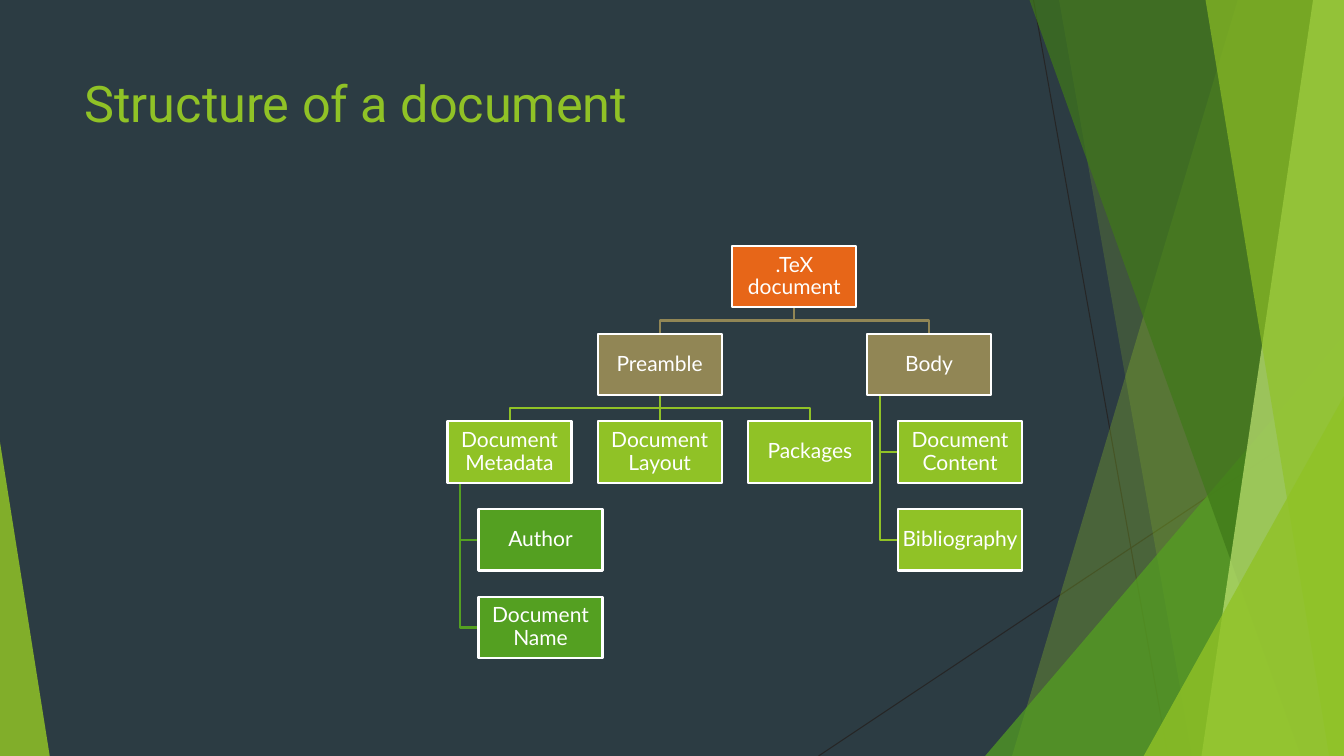
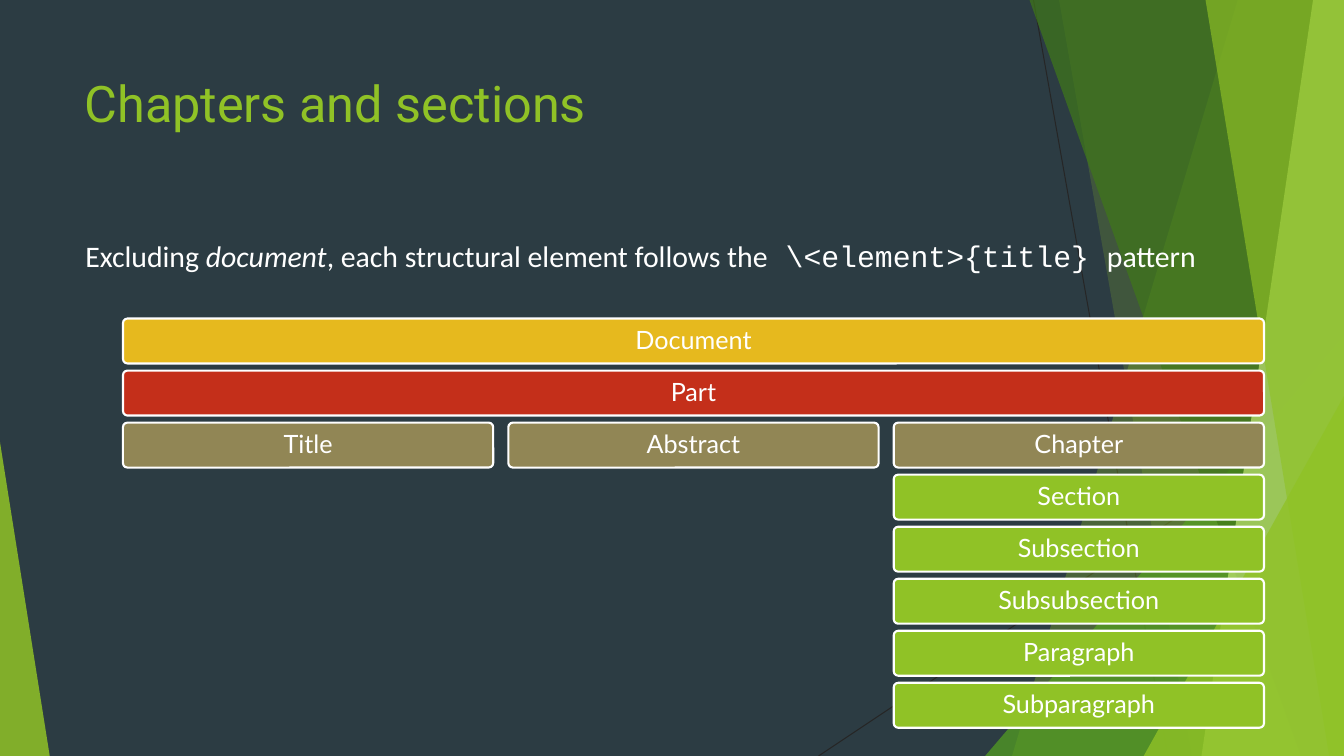
"""Build two slides on how a TeX document is structured."""
from pptx import Presentation
from pptx.dml.color import RGBColor
from pptx.enum.shapes import MSO_CONNECTOR, MSO_SHAPE
from pptx.enum.text import MSO_ANCHOR, PP_ALIGN
from pptx.oxml.ns import qn
from pptx.util import Inches, Pt
from lxml.etree import SubElement

SLIDE_W, SLIDE_H = Inches(13.333), Inches(7.5)
NIGHT = RGBColor(0x2C, 0x3C, 0x43)
INK = RGBColor(0x26, 0x26, 0x26)
WHITE = RGBColor(0xFF, 0xFF, 0xFF)
LIME = RGBColor(0x90, 0xC2, 0x26)
PALE_LIME = RGBColor(0xC0, 0xE4, 0x74)
GREEN = RGBColor(0x54, 0xA0, 0x21)
FOREST = RGBColor(0x3F, 0x78, 0x19)
ORANGE = RGBColor(0xE7, 0x66, 0x18)
KHAKI = RGBColor(0x91, 0x86, 0x55)
GOLD = RGBColor(0xE6, 0xB9, 0x1E)
RED = RGBColor(0xC4, 0x2F, 0x1A)

NODE_W, NODE_H = Inches(1.23), Inches(0.61)
TREE_LEFT, TREE_TOP = Inches(4.44), Inches(2.44)
TREE_COL, TREE_ROW = Inches(1.49), Inches(0.87)
HANG = NODE_W / TREE_COL / 4

BARS_LEFT, BARS_TOP = Inches(1.22), Inches(3.16)
BAR_GAP_X, BAR_GAP_Y = Inches(0.15), Inches(0.07)
BAR_COL = (Inches(11.32) + BAR_GAP_X) / 3
BAR_ROW = (Inches(4.06) + BAR_GAP_Y) / 8

BODY_COL = 3 - HANG
NODES = {
    ".TeX document": ((1 + BODY_COL) / 2, 0, ORANGE),
    "Preamble": (1, 1, KHAKI),
    "Body": (BODY_COL, 1, KHAKI),
    "Document Metadata": (0, 2, LIME),
    "Document Layout": (1, 2, LIME),
    "Packages": (2, 2, LIME),
    "Document Content": (3, 2, LIME),
    "Bibliography": (3, 3, LIME),
    "Author": (HANG, 3, GREEN),
    "Document Name": (HANG, 4, GREEN),
}
BRANCHES = {
    ".TeX document": ["Preamble", "Body"],
    "Preamble": ["Document Metadata", "Document Layout", "Packages"],
}
LISTS = {
    "Body": ["Document Content", "Bibliography"],
    "Document Metadata": ["Author", "Document Name"],
}
BARS = [
    ("Document", 0, 0, 3, GOLD),
    ("Part", 1, 0, 3, RED),
    ("Title", 2, 0, 1, KHAKI),
    ("Abstract", 2, 1, 1, KHAKI),
    ("Chapter", 2, 2, 1, KHAKI),
]
CHAPTER_PARTS = ["Section", "Subsection", "Subsubsection", "Paragraph", "Subparagraph"]


def across(percent):
    return round(SLIDE_W * percent / 100)


def down(percent):
    return round(SLIDE_H * percent / 100)


def add_line(slide, start, end, colour, weight):
    line = slide.shapes.add_connector(MSO_CONNECTOR.STRAIGHT, *start, *end)
    line.line.color.rgb = colour
    line.line.width = Pt(weight)
    SubElement(line._element.spPr, qn("a:effectLst"))


def add_outline(slide, points, close):
    builder = slide.shapes.build_freeform(*points[0])
    builder.add_line_segments(points[1:], close=close)
    outline = builder.convert_to_shape()
    outline.shadow.inherit = False
    return outline


def tint(panel, colour, opacity):
    panel.fill.solid()
    panel.fill.fore_color.rgb = colour
    panel.line.fill.background()
    shade = panel._element.spPr.find(qn("a:solidFill")).find(qn("a:srgbClr"))
    SubElement(shade, qn("a:alpha")).set("val", str(opacity * 1000))


def add_facet(slide, top_left, bottom_left, colour, opacity):
    corners = [(across(top_left), 0), (SLIDE_W, 0),
               (SLIDE_W, SLIDE_H), (across(bottom_left), SLIDE_H)]
    tint(add_outline(slide, corners, True), colour, opacity)


def add_wedge(slide, left, top, right, apex, colour, opacity):
    wedge = slide.shapes.add_shape(
        MSO_SHAPE.ISOSCELES_TRIANGLE, across(left), down(top),
        across(right - left), down(100 - top))
    wedge.adjustments[0] = apex
    wedge.shadow.inherit = False
    tint(wedge, colour, opacity)


def add_backdrop(slide):
    add_line(slide, (across(76.9), 0), (across(86.9), SLIDE_H), INK, 0.75)
    add_line(slide, (SLIDE_W, down(53.7)), (across(60.9), SLIDE_H), INK, 0.75)
    add_facet(slide, 92.1, 75.3, LIME, 30)
    add_facet(slide, 78.8, 88.7, LIME, 20)
    add_wedge(slide, 73.3, 44.4, 100, 1, GREEN, 72)
    add_facet(slide, 76.6, 96.8, FOREST, 70)
    add_facet(slide, 97.7, 89.4, PALE_LIME, 70)
    add_facet(slide, 89.7, 98.9, LIME, 65)
    add_wedge(slide, 85.1, 52.4, 100, 1, LIME, 80)
    add_wedge(slide, 0, 58.5, 3.7, 0, LIME, 85)


def style(paragraph, font, size, colour):
    paragraph.font.name = font
    paragraph.font.size = Pt(size)
    paragraph.font.color.rgb = colour


def add_text_frame(slide, left, top, width, height):
    frame = slide.shapes.add_textbox(left, top, width, height).text_frame
    frame.word_wrap = True
    return frame


def add_titled_slide(deck, title):
    slide = deck.slides.add_slide(deck.slide_layouts[6])
    add_backdrop(slide)
    heading = add_text_frame(slide, across(5.55), down(8.9), across(70.5), down(19.2)).paragraphs[0]
    heading.text = title
    style(heading, "Roboto", 36, LIME)
    return slide


def add_box(slide, preset, bounds, label, colour, size, inset):
    box = slide.shapes.add_shape(preset, *map(round, bounds))
    box.shadow.inherit = False
    box.fill.solid()
    box.fill.fore_color.rgb = colour
    box.line.color.rgb = WHITE
    box.line.width = Pt(1.5)
    frame = box.text_frame
    frame.word_wrap = True
    frame.vertical_anchor = MSO_ANCHOR.MIDDLE
    frame.margin_left = frame.margin_right = Inches(inset)
    frame.margin_top = frame.margin_bottom = Inches(inset)
    caption = frame.paragraphs[0]
    caption.text = label
    caption.alignment = PP_ALIGN.CENTER
    caption.line_spacing = 0.9
    style(caption, "Lato", size, WHITE)
    return box


def node_corner(label):
    col, row, _ = NODES[label]
    return round(TREE_LEFT + col * TREE_COL), round(TREE_TOP + row * TREE_ROW)


def add_elbow(slide, points, colour):
    elbow = add_outline(slide, points, False)
    elbow.fill.background()
    elbow.line.color.rgb = colour
    elbow.line.width = Pt(1.5)


def add_branch(slide, parent, child):
    (parent_x, parent_y), (child_x, child_y) = node_corner(parent), node_corner(child)
    start = (parent_x + NODE_W // 2, parent_y + NODE_H)
    end = (child_x + NODE_W // 2, child_y)
    colour = NODES[child][2]
    if start[0] == end[0]:
        add_line(slide, start, end, colour, 1.5)
    else:
        middle = (start[1] + end[1]) // 2
        add_elbow(slide, [start, (start[0], middle), (end[0], middle), end], colour)


def add_list_link(slide, parent, child):
    (parent_x, parent_y), (child_x, child_y) = node_corner(parent), node_corner(child)
    stem, level = parent_x + NODE_W // 10, child_y + NODE_H // 2
    points = [(stem, parent_y + NODE_H), (stem, level), (child_x, level)]
    add_elbow(slide, points, NODES[child][2])


def add_tree(slide):
    for links, add_link in ((LISTS, add_list_link), (BRANCHES, add_branch)):
        for parent, children in links.items():
            for child in children:
                add_link(slide, parent, child)
    for label, (_, _, colour) in NODES.items():
        bounds = (*node_corner(label), NODE_W, NODE_H)
        add_box(slide, MSO_SHAPE.RECTANGLE, bounds, label, colour, 15, 0.01)


def add_bars(slide):
    parts = [(label, row, 2, 1, LIME) for row, label in enumerate(CHAPTER_PARTS, 3)]
    for label, row, col, span, colour in BARS + parts:
        bounds = (BARS_LEFT + col * BAR_COL, BARS_TOP + row * BAR_ROW,
                  span * BAR_COL - BAR_GAP_X, BAR_ROW - BAR_GAP_Y)
        bar = add_box(slide, MSO_SHAPE.ROUNDED_RECTANGLE, bounds, label, colour, 18, 0.07)
        bar.adjustments[0] = 0.1


def add_pattern_sentence(slide):
    frame = add_text_frame(slide, across(5.3), down(30.3), across(88.7), down(10.4))
    frame.margin_left = Inches(0.14)
    sentence = frame.paragraphs[0]
    sentence.line_spacing = 1.1
    style(sentence, "Calibri", 21.3, WHITE)
    for text, italic, font in (
        ("Excluding ", None, None),
        ("document", True, None),
        (", each structural element follows the", None, None),
        (" \\<element>{title} ", None, "Courier New"),
        ("pattern", None, None),
    ):
        run = sentence.add_run()
        run.text = text
        run.font.italic = italic
        run.font.name = font


def main():
    deck = Presentation()
    deck.slide_width, deck.slide_height = SLIDE_W, SLIDE_H
    backdrop = deck.slide_master.background.fill
    backdrop.solid()
    backdrop.fore_color.rgb = NIGHT
    add_tree(add_titled_slide(deck, "Structure of a document"))
    chapters = add_titled_slide(deck, "Chapters and sections")
    add_bars(chapters)
    add_pattern_sentence(chapters)
    deck.save("out.pptx")


if __name__ == "__main__":
    main()
